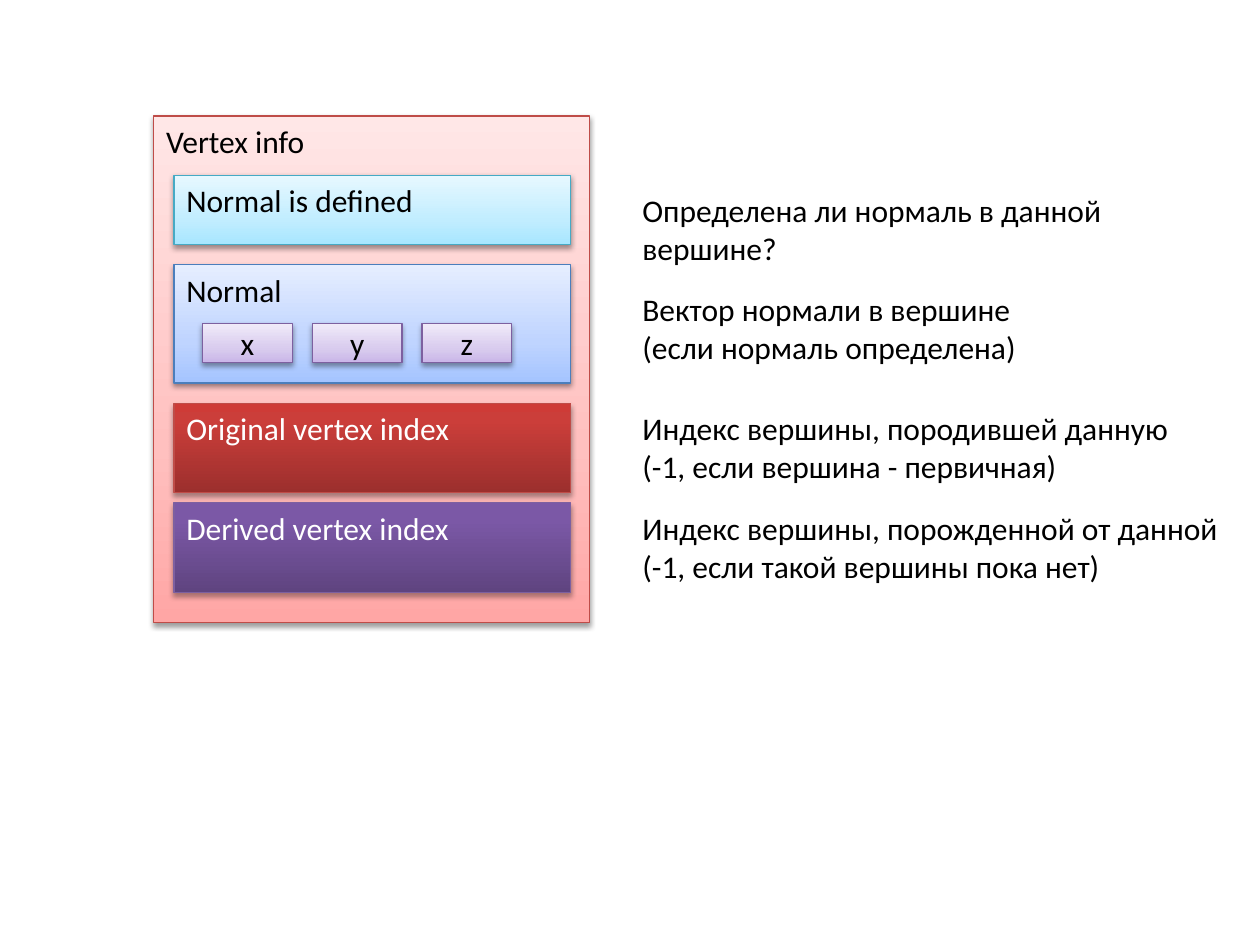
from pptx import Presentation
from pptx.dml.color import RGBColor
from pptx.enum.shapes import MSO_SHAPE
from pptx.enum.text import MSO_ANCHOR, MSO_AUTO_SIZE, PP_ALIGN
from pptx.oxml import parse_xml
from pptx.oxml.ns import nsdecls, qn
from pptx.util import Inches, Pt

COLORS = {
    "dark_text": "000000", "light_text": "FFFFFF", "shadow": "000000",
    "red_line": "BF4C48", "blue_line": "4B7EBC",
    "purple_line": "7D60A0", "cyan_line": "46AAC5",
    "pink_0": "FFA6A5", "pink_1": "FFC0BF", "pink_2": "FFE7E7",
    "blue_0": "A4C4FF", "blue_1": "BFD4FF", "blue_2": "E6EEFF",
    "lilac_0": "C9B5E8", "lilac_1": "D8CBEE", "lilac_2": "F0EAF9",
    "cyan_0": "A7E6FF", "cyan_1": "C1EDFF", "cyan_2": "E7F8FF",
    "red_0": "9C2F2D", "red_1": "CB3E3A", "red_2": "CE3B37",
    "purple_0": "5F4480", "purple_1": "7B58A6", "purple_2": "7C57A8",
}
# Fill name: (line, text colour, middle stop %, shadow opacity %, shadow distance pt)
SOFT = ("dark_text", 35, 38, 1.6)
STRONG = ("light_text", 80, 35, 1.8)
STYLES = {
    "pink": ("red_line", *SOFT), "blue": ("blue_line", *SOFT),
    "lilac": ("purple_line", *SOFT), "cyan": ("cyan_line", *SOFT),
    "red": ("red_line", *STRONG), "purple": ("purple_line", *STRONG),
}


def set_fonts(text_frame, color):
    for paragraph in text_frame.paragraphs:
        paragraph.font.name = "Calibri"
        paragraph.font.size = Pt(18)
        paragraph.font.color.rgb = RGBColor.from_string(COLORS[color])


def set_gradient(shape, name, middle):
    """Three stops that run from the bottom to the top."""
    shape.fill.gradient()
    shape.fill.gradient_angle = 90
    stops = shape._element.spPr.find(qn("a:gradFill")).find(qn("a:gsLst"))
    for stop in list(stops):
        stops.remove(stop)
    for index, position in enumerate((0, middle, 100)):
        stops.append(parse_xml(
            f'<a:gs {nsdecls("a")} pos="{position * 1000}">'
            f'<a:srgbClr val="{COLORS[f"{name}_{index}"]}"/></a:gs>'))


def set_shadow(shape, opacity, distance):
    shape.shadow.inherit = False
    shape._element.spPr.find(qn("a:effectLst")).append(parse_xml(
        f'<a:outerShdw {nsdecls("a")} blurRad="{Pt(3.1)}" dist="{Pt(distance)}" '
        f'dir="5400000" rotWithShape="0"><a:srgbClr val="{COLORS["shadow"]}">'
        f'<a:alpha val="{opacity * 1000}"/></a:srgbClr></a:outerShdw>'))


def add_block(shapes, text, style, left, top, width, height, centered=False):
    line, text_color, middle, opacity, distance = STYLES[style]
    block = shapes.add_shape(MSO_SHAPE.RECTANGLE, Inches(left), Inches(top),
                             Inches(width), Inches(height))
    set_gradient(block, style, middle)
    block.line.color.rgb = RGBColor.from_string(COLORS[line])
    block.line.width = Pt(0.75)
    set_shadow(block, opacity, distance)
    text_frame = block.text_frame
    text_frame.text = text
    text_frame.vertical_anchor = MSO_ANCHOR.MIDDLE if centered else MSO_ANCHOR.TOP
    text_frame.paragraphs[0].alignment = PP_ALIGN.CENTER if centered else PP_ALIGN.LEFT
    set_fonts(text_frame, text_color)


def add_normal(slide, left, top, width, height):
    """The normal vector with its three components."""
    group = slide.shapes.add_group_shape()
    add_block(group.shapes, "Normal", "blue", left, top, width, height)
    for index, axis in enumerate("xyz"):
        add_block(group.shapes, axis, "lilac", left + 0.23 + index * 0.87,
                  top + 0.47, 0.71, 0.31, centered=True)


def add_vertex_info(slide, left, top, width, height):
    """The outer frame and its stacked fields."""
    add_block(slide.shapes, "Vertex info", "pink", left, top, width, height)
    field_left, field_width = left + 0.16, width - 0.31
    add_normal(slide, field_left, top + 1.18, field_width, 0.94)
    for text, style, offset, field_height in (
            ("Original vertex index", "red", 2.28, 0.71),
            ("Derived vertex index", "purple", 3.07, 0.71),
            ("Normal is defined", "cyan", 0.47, 0.55)):
        add_block(slide.shapes, text, style, field_left, top + offset,
                  field_width, field_height)


def add_notes_column(slide, left, top):
    """Explanations beside the fields; \\v breaks a line, \\n a paragraph."""
    for text, offset, width in (
            ("Определена ли нормаль в данной\vвершине?", 0, 3.88),
            ("Вектор нормали в вершине\n(если нормаль определена)", 0.78, 3.2),
            ("Индекс вершины, породившей данную\v(-1, если вершина - первичная)",
             1.73, 4.42),
            ("Индекс вершины, порожденной от данной\v(-1, если такой вершины пока нет)",
             2.52, 4.82)):
        box = slide.shapes.add_textbox(Inches(left), Inches(top + offset),
                                       Inches(width), Inches(0.71))
        box.text_frame.word_wrap = False
        box.text_frame.auto_size = MSO_AUTO_SIZE.SHAPE_TO_FIT_TEXT
        box.text_frame.text = text
        set_fonts(box.text_frame, "dark_text")


def main():
    presentation = Presentation()
    presentation.slide_width = Inches(10)
    presentation.slide_height = Inches(7.5)
    slide = presentation.slides.add_slide(presentation.slide_layouts[6])
    add_vertex_info(slide, 1.22, 0.92, 3.46, 4.02)
    add_notes_column(slide, 5, 1.47)
    presentation.save("out.pptx")


if __name__ == "__main__":
    main()
